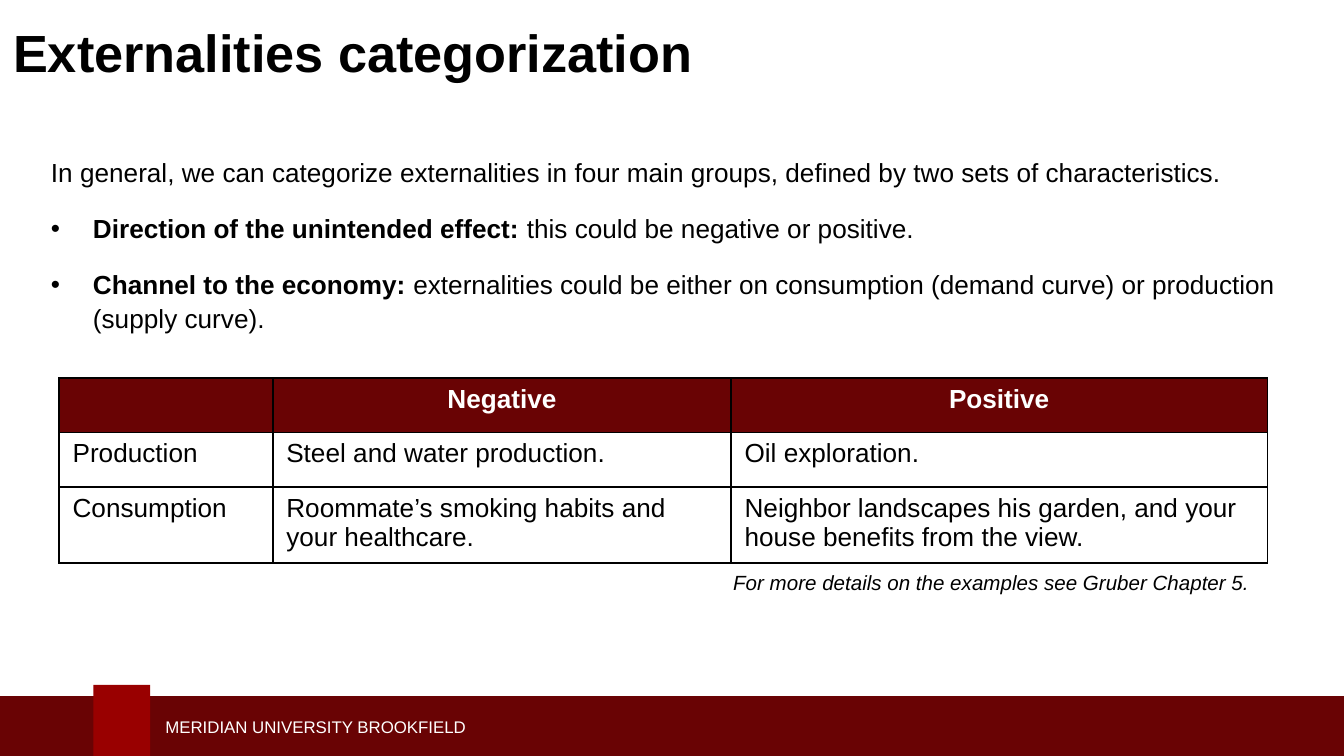
from dataclasses import dataclass

import pptx
import pptx.dml.color
import pptx.enum.shapes
import pptx.enum.text
import pptx.oxml
import pptx.oxml.ns
import pptx.util
from pptx.util import Pt

ALIGN = pptx.enum.text.PP_ALIGN
ANCHOR = pptx.enum.text.MSO_ANCHOR


@dataclass(frozen=True)
class Theme:
    font: str = "Arial"
    ink: str = "000000"
    paper: str = "FFFFFF"
    crimson: str = "690304"
    tab: str = "990000"
    title: int = 28
    body: int = 14
    note: int = 11
    footer: int = 9


THEME = Theme()


def rgb(color):
    return pptx.dml.color.RGBColor.from_string(color)


def style(para, size, color=THEME.ink, bold=False, italic=False, align=ALIGN.LEFT):
    para.alignment = align
    font = para.font
    font.name, font.size = THEME.font, Pt(size)
    font.bold, font.italic = bold, italic
    font.color.rgb = rgb(color)


def add_text_box(page, box, anchor=ANCHOR.TOP):
    """Add an empty wrapping text box and return its text frame."""
    frame = page.shapes.add_textbox(*map(Pt, box)).text_frame
    frame.word_wrap = True
    frame.vertical_anchor = anchor
    return frame


def add_line(page, box, text, size, anchor=ANCHOR.TOP, **look):
    """Add a text box that holds one paragraph."""
    para = add_text_box(page, box, anchor).paragraphs[0]
    para.text = text
    style(para, size, **look)


def add_block(page, box, color):
    block = page.shapes.add_shape(
        pptx.enum.shapes.MSO_SHAPE.RECTANGLE, *map(Pt, box))
    block.shadow.inherit = False
    block.fill.solid()
    block.fill.fore_color.rgb = rgb(color)
    block.line.fill.background()


def add_footer(page, box, text):
    left, top, width, height = box
    add_block(page, box, THEME.crimson)
    add_block(page, (left + 52, top - 6, 30.5, height + 6), THEME.tab)
    add_line(page, (left + 83.5, top + 7.2, 284.4, 18), text, THEME.footer,
             ANCHOR.MIDDLE, color=THEME.paper)


def add_bullet(para, indent):
    props = para._p.get_or_add_pPr()
    props.set("marL", str(Pt(indent)))
    props.set("indent", str(-Pt(indent)))
    props.append(pptx.oxml.parse_xml(
        f'<a:buFont {pptx.oxml.ns.nsdecls("a")} typeface="{THEME.font}"/>'))
    props.append(pptx.oxml.parse_xml(
        f'<a:buChar {pptx.oxml.ns.nsdecls("a")} char="•"/>'))


def add_body(page, box, intro, points):
    """Add an introduction and bullets, each a bold lead with its explanation."""
    frame = add_text_box(page, box)
    for index, (lead, rest) in enumerate([("", intro), *points]):
        para = frame.add_paragraph() if index else frame.paragraphs[0]
        style(para, THEME.body)
        para.space_before = para.space_after = Pt(6)
        para.line_spacing = 1.07
        if lead:
            add_bullet(para, 22.5)
            span = para.add_run()
            span.text = lead
            span.font.bold = True
        para.add_run().text = rest


def add_borders(cell):
    props = cell._tc.get_or_add_tcPr()
    for place, side in enumerate(("lnL", "lnR", "lnT", "lnB")):
        props.insert(place, pptx.oxml.parse_xml(
            f'<a:{side} {pptx.oxml.ns.nsdecls("a")} w="{Pt(1)}"><a:solidFill>'
            f'<a:srgbClr val="{THEME.ink}"/></a:solidFill></a:{side}>'))


def add_category_table(page, box, widths, heights, rows):
    table = page.shapes.add_table(len(rows), len(widths), *map(Pt, box)).table
    table.horz_banding = False
    for column, width in zip(table.columns, widths):
        column.width = Pt(width)
    for row, height, texts in zip(table.rows, heights, rows):
        row.height = Pt(height)
        header = texts is rows[0]
        for cell, text in zip(row.cells, texts):
            cell.text = text
            if header:
                cell.fill.solid()
                cell.fill.fore_color.rgb = rgb(THEME.crimson)
                style(cell.text_frame.paragraphs[0], THEME.body, THEME.paper,
                      bold=True, align=ALIGN.CENTER)
            else:
                cell.fill.background()
                style(cell.text_frame.paragraphs[0], THEME.body)
            add_borders(cell)


def build_externalities_page(page, box):
    left, top, width, height = box
    add_footer(page, (left - 2, top + 373, width + 6, 36),
               "MERIDIAN UNIVERSITY BROOKFIELD")
    add_body(
        page, (left + 20.2, top + 79.2, 687.6, 99.4),
        "In general, we can categorize externalities in four main groups, "
        "defined by two sets of characteristics.",
        [("Direction of the unintended effect: ",
          "this could be negative or positive."),
         ("Channel to the economy:",
          " externalities could be either on consumption (demand curve) "
          "or production (supply curve).")])
    add_line(page, (left, top, width, 55), "Externalities categorization",
             THEME.title, ANCHOR.MIDDLE, bold=True)
    add_category_table(
        page, (left + 31.7, top + 202.5, 647.3, 97),
        (114.5, 245.5, 287.3), (29.2, 29.2, 38.6),
        [("", "Negative", "Positive"),
         ("Production", "Steel and water production.", "Oil exploration."),
         ("Consumption", "Roommate’s smoking habits and your healthcare.",
          "Neighbor landscapes his garden, and your house benefits "
          "from the view.")])
    add_line(page, (left + 312.5, top + 301.7, 367.2, 20.9),
             "For more details on the examples see Gruber Chapter 5. ",
             THEME.note, italic=True, align=ALIGN.RIGHT)


def main():
    deck = pptx.Presentation()
    deck.slide_width, deck.slide_height = Pt(720), Pt(405)
    page = deck.slides.add_slide(deck.slide_layouts[6])
    build_externalities_page(page, (0, 0, 720, 405))
    deck.save("out.pptx")


if __name__ == "__main__":
    main()
